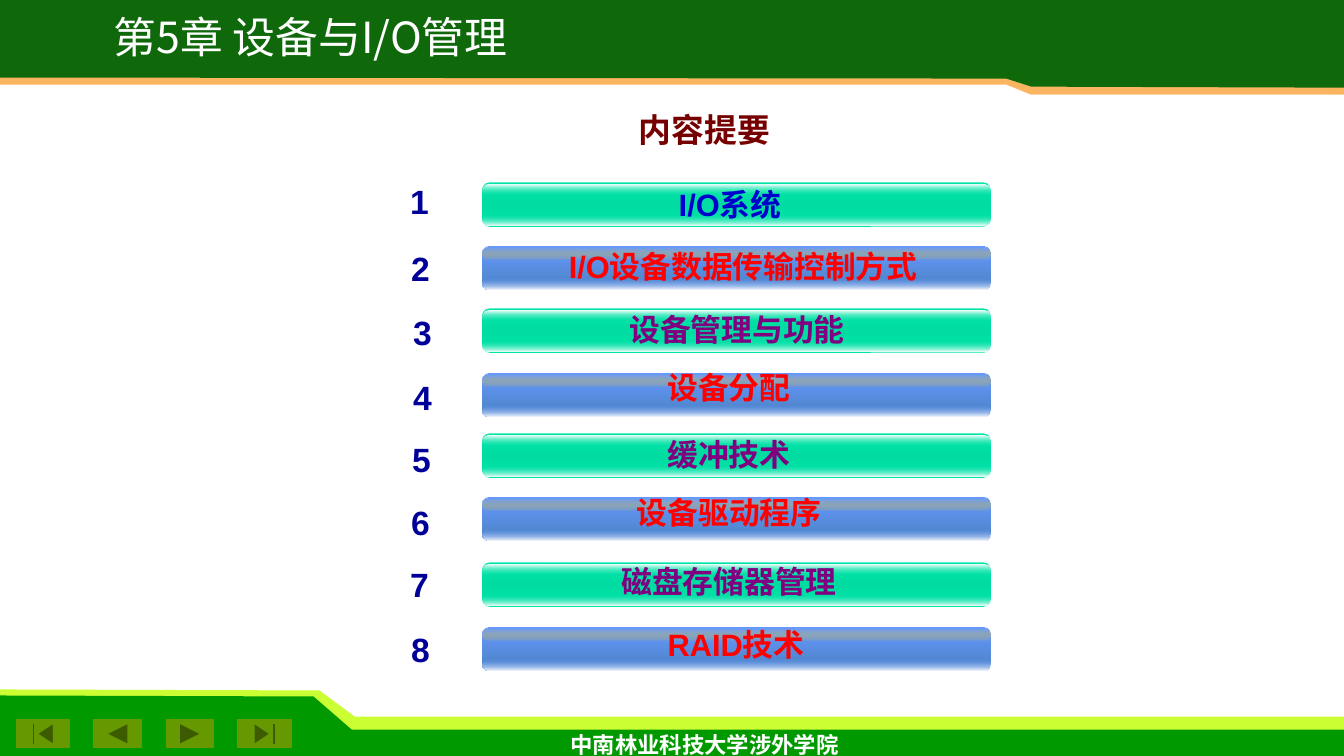
from dataclasses import dataclass

from lxml.etree import SubElement
from pptx import Presentation
from pptx.dml.color import RGBColor
from pptx.enum.shapes import MSO_SHAPE as Preset
from pptx.enum.text import MSO_ANCHOR as Anchor
from pptx.enum.text import MSO_AUTO_SIZE as AutoSize
from pptx.enum.text import PP_ALIGN as Align
from pptx.oxml.ns import qn
from pptx.util import Inches, Pt

CJK_FONT = "Noto Sans CJK SC"
GREEN, BLUE = "00E4A8", "6699FF"
RED, PURPLE = "FF0000", "800080"


@dataclass(frozen=True)
class Stop:
    position: int
    color: str
    alpha: int = 100


@dataclass(frozen=True)
class BarStyle:
    body: tuple[Stop, ...]
    lower: tuple[Stop, ...]
    upper: tuple[Stop, ...]


@dataclass(frozen=True)
class Topic:
    text: str
    color: str
    bar_top: float
    text_left: float
    text_top: float
    number_left: float
    number_top: float


@dataclass(frozen=True)
class Band:
    color: str
    points: tuple[tuple[float, float], ...]
    alpha: int = 100


@dataclass(frozen=True)
class Button:
    preset: Preset
    left: float
    width: float


GREEN_BAR = BarStyle(
    (Stop(0, GREEN), Stop(50, "00DCA2"), Stop(100, GREEN)),
    (Stop(0, GREEN, 0), Stop(100, "FFFFFF")),
    (Stop(0, "FFFFFF"), Stop(100, GREEN, 0)),
)
BLUE_BAR = BarStyle(
    (Stop(0, BLUE), Stop(100, "4B81C2")),
    (Stop(0, BLUE, 0), Stop(100, "FFFFFF")),
    (Stop(0, BLUE), Stop(100, "FFCF01", 0)),
)
TOPICS = (
    Topic("I/O系统", "0000CC", 1.81, 5.1, 1.79, 3.97, 1.75),
    Topic("I/O设备数据传输控制方式", RED, 2.44, 5.23, 2.41, 3.98, 2.41),
    Topic("设备管理与功能", PURPLE, 3.06, 5.17, 3.03, 4.0, 3.05),
    Topic("设备分配", RED, 3.7, 5.09, 3.61, 4.0, 3.69),
    Topic("缓冲技术", PURPLE, 4.3, 5.09, 4.27, 3.99, 4.31),
    Topic("设备驱动程序", RED, 4.93, 5.09, 4.85, 3.98, 4.93),
    Topic("磁盘存储器管理", PURPLE, 5.58, 5.09, 5.53, 3.97, 5.55),
    Topic("RAID技术", RED, 6.22, 5.16, 6.16, 3.98, 6.19),
)
FOOTER_BANDS = (
    Band("CCFF33", ((0, 7.4), (13.33, 7.4), (13.33, 7.11), (3.52, 7.11),
                    (3.17, 6.85), (0, 6.84))),
    Band("009900", ((0, 7.53), (13.33, 7.51), (13.33, 7.24), (3.49, 7.24),
                    (3.11, 6.91), (0, 6.9))),
)
HEADER_BANDS = (
    Band("FBB561", ((13.33, 0), (0, 0), (0, 0.84), (9.98, 0.84),
                    (10.23, 0.94), (13.33, 0.94))),
    Band("0F690B", ((13.33, 0), (0, 0), (0, 0.77), (9.98, 0.78),
                    (10.23, 0.86), (13.33, 0.87))),
    Band("FFFFFF", ((10.06, 0.94), (13.2, 0.94), (13.19, 0.99),
                    (10.19, 1)), 30),
)
BUTTONS = (
    Button(Preset.ACTION_BUTTON_BACK_OR_PREVIOUS, 0.93, 0.47),
    Button(Preset.ACTION_BUTTON_FORWARD_OR_NEXT, 1.65, 0.47),
    Button(Preset.ACTION_BUTTON_BEGINNING, 0.16, 0.53),
    Button(Preset.ACTION_BUTTON_END, 2.36, 0.53),
)


def rgb(color: str) -> RGBColor:
    return RGBColor.from_string(color)


def set_alpha(color_element, percent: int) -> None:
    if percent < 100:
        SubElement(color_element, qn("a:alpha"), val=str(percent * 1000))


def add_band(slide, band: Band) -> None:
    points = [(Inches(x), Inches(y)) for x, y in band.points]
    builder = slide.shapes.build_freeform(*points[0])
    builder.add_line_segments(points[1:], close=True)
    shape = builder.convert_to_shape()
    shape.shadow.inherit = False
    shape.fill.solid()
    shape.fill.fore_color.rgb = rgb(band.color)
    set_alpha(shape.element.spPr.find(qn("a:solidFill"))[0], band.alpha)
    shape.line.fill.background()


def add_button(slide, button: Button) -> None:
    shape = slide.shapes.add_shape(button.preset, Inches(button.left), Inches(7.14),
                                   Inches(button.width), Inches(0.28))
    shape.shadow.inherit = False
    shape.fill.solid()
    shape.fill.fore_color.rgb = rgb("669900")
    shape.line.color.rgb = rgb("669900")
    shape.line.width = Pt(0.75)


def add_gradient_strip(group, left: float, top: float, width: float, height: float,
                       rounding: float, stops: tuple[Stop, ...]) -> None:
    shape = group.shapes.add_shape(Preset.ROUNDED_RECTANGLE, Inches(left), Inches(top),
                                   Inches(width), Inches(height))
    shape.adjustments[0] = rounding
    shape.shadow.inherit = False
    shape.line.fill.background()
    shape.fill.gradient()
    shape.fill.gradient_angle = 270
    stop_list = shape.element.spPr.find(qn("a:gradFill")).find(qn("a:gsLst"))
    for default_stop in list(stop_list):
        stop_list.remove(default_stop)
    for stop in stops:
        stop_element = SubElement(stop_list, qn("a:gs"), pos=str(stop.position * 1000))
        color_element = SubElement(stop_element, qn("a:srgbClr"), val=stop.color)
        set_alpha(color_element, stop.alpha)


def add_bar(slide, top: float, style: BarStyle) -> None:
    group = slide.shapes.add_group_shape()
    add_gradient_strip(group, 4.78, top, 5.05, 0.44, 0.175, style.body)
    add_gradient_strip(group, 4.79, top + 0.32, 5.03, 0.11, 0.5, style.lower)
    add_gradient_strip(group, 4.79, top + 0.02, 5.03, 0.11, 0.5, style.upper)


def add_text(slide, text: str, left: float, top: float, width: float, height: float, *,
             size: float, color: str, font: str = "Arial", bold: bool = True,
             align: Align = Align.CENTER, wrap: bool = True, grow: bool = True,
             anchor: Anchor = Anchor.TOP, line_spacing: float = 1.0) -> None:
    box = slide.shapes.add_textbox(Inches(left), Inches(top), Inches(width), Inches(height))
    frame = box.text_frame
    frame.word_wrap = wrap
    frame.auto_size = AutoSize.SHAPE_TO_FIT_TEXT if grow else AutoSize.NONE
    frame.vertical_anchor = anchor
    paragraph = frame.paragraphs[0]
    paragraph.alignment = align
    paragraph.line_spacing = line_spacing
    run = paragraph.add_run()
    run.text = text
    run.font.size = Pt(size)
    run.font.bold = bold
    run.font.color.rgb = rgb(color)
    run.font.name = font
    SubElement(run.font._element, qn("a:ea"), typeface=CJK_FONT)


def main() -> None:
    presentation = Presentation()
    presentation.slide_width = Inches(13.33)
    presentation.slide_height = Inches(7.5)
    slide = presentation.slides.add_slide(presentation.slide_layouts[6])
    for band in FOOTER_BANDS:
        add_band(slide, band)
    for button in BUTTONS:
        add_button(slide, button)
    for band in HEADER_BANDS:
        add_band(slide, band)
    add_text(slide, "中南林业科技大学涉外学院", 5.56, 7.2, 2.92, 0.37, size=16,
             color="FFFFFF", font="Karla", align=Align.LEFT, wrap=False)
    for number, topic in enumerate(TOPICS, 1):
        add_bar(slide, topic.bar_top, GREEN_BAR if number % 2 else BLUE_BAR)
        add_text(slide, topic.text, topic.text_left, topic.text_top, 4.28, 0.47,
                 size=22, color=topic.color)
        add_text(slide, str(number), topic.number_left, topic.number_top, 0.36, 0.5,
                 size=24, color="000099")
    add_text(slide, "内容提要", 6.04, 1.1, 1.89, 0.44, size=23.4, color="760000",
             font=CJK_FONT, wrap=False, grow=False, anchor=Anchor.MIDDLE, line_spacing=0.8)
    add_text(slide, "第5章 设备与I/O管理", 0.48, 0.13, 5.2, 0.55, size=30.6, color="FFFFFF",
             font=CJK_FONT, bold=False, wrap=False, grow=False, anchor=Anchor.MIDDLE,
             line_spacing=0.8)
    presentation.save("out.pptx")


if __name__ == "__main__":
    main()
